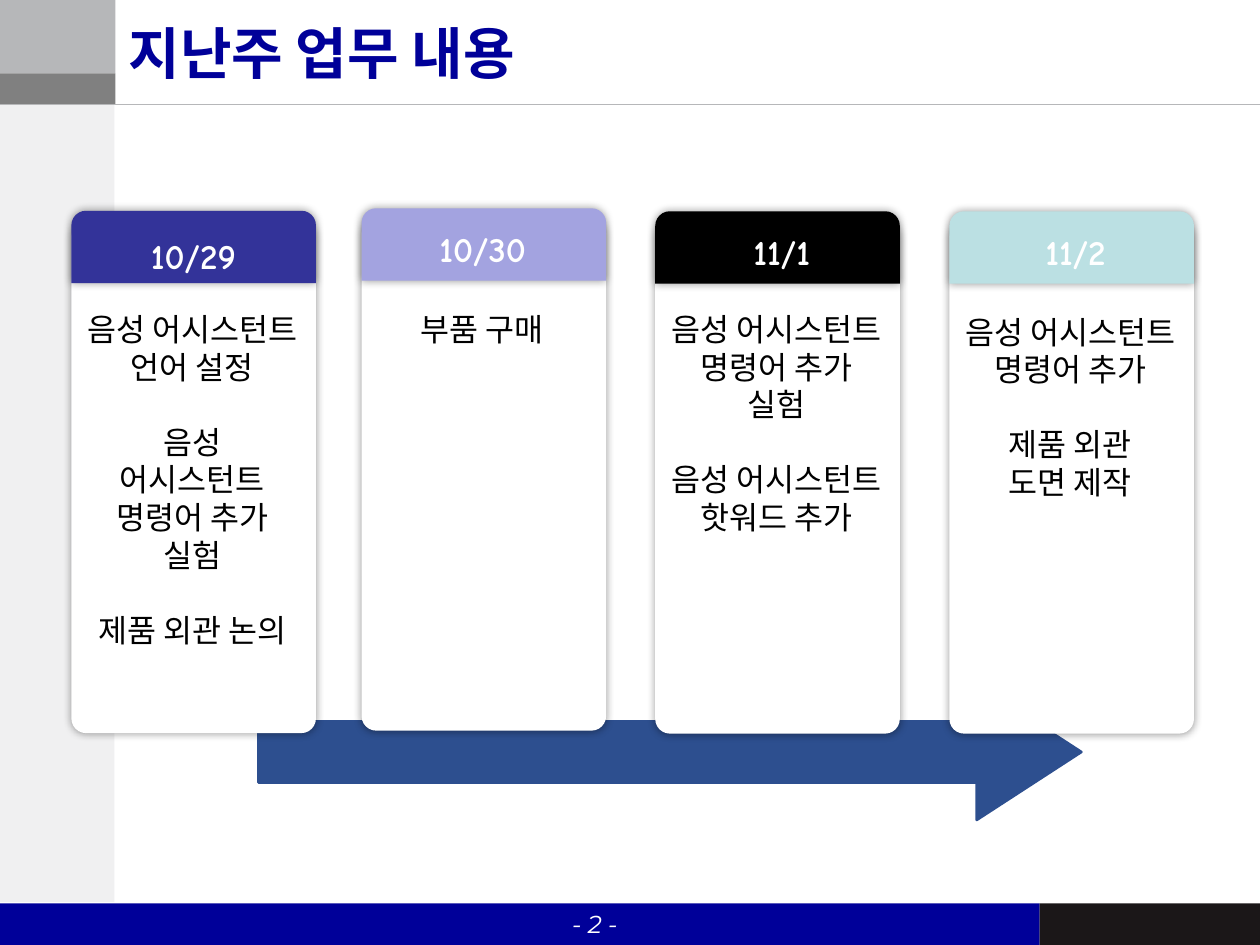
"""Build the weekly work review slide with four dated cards over an arrow."""
from dataclasses import dataclass

from lxml import etree
from pptx import Presentation
from pptx.dml.color import RGBColor
from pptx.enum.shapes import MSO_CONNECTOR, MSO_SHAPE
from pptx.enum.text import MSO_ANCHOR, MSO_AUTO_SIZE, PP_ALIGN
from pptx.oxml.ns import qn
from pptx.shapes.autoshape import Shape
from pptx.slide import Slide
from pptx.text.text import TextFrame
from pptx.util import Cm, Pt

RECTANGLE = MSO_SHAPE.RECTANGLE
ROUNDED = MSO_SHAPE.ROUNDED_RECTANGLE
ROUNDED_TOP = MSO_SHAPE.ROUND_2_SAME_RECTANGLE
RIGHT_ARROW = MSO_SHAPE.RIGHT_ARROW
STRAIGHT = MSO_CONNECTOR.STRAIGHT
LEFT, CENTER, RIGHT = PP_ALIGN.LEFT, PP_ALIGN.CENTER, PP_ALIGN.RIGHT
MIDDLE = MSO_ANCHOR.MIDDLE
NO_AUTOSIZE = MSO_AUTO_SIZE.NONE

WHITE = RGBColor(0xFF, 0xFF, 0xFF)
BLACK = RGBColor(0x00, 0x00, 0x00)
NAVY = RGBColor(0x00, 0x00, 0x99)
INDIGO = RGBColor(0x33, 0x33, 0x99)
LAVENDER = RGBColor(0xA3, 0xA3, 0xE0)
AQUA = RGBColor(0xBB, 0xE0, 0xE3)
ARROW_BLUE = RGBColor(0x2D, 0x4F, 0x8F)
PALE_GRAY = RGBColor(0xF0, 0xF0, 0xF1)
SILVER = RGBColor(0xB6, 0xB7, 0xB9)
GRAY = RGBColor(0x80, 0x80, 0x80)
CHARCOAL = RGBColor(0x1B, 0x17, 0x18)

KOREAN_FONT = "Noto Sans CJK KR"
TITLE_STYLE = {"name": "Comic Neue", "size": Pt(32), "bold": True}
DATE_STYLE = {"name": "Comic Neue", "size": Pt(20), "bold": True}
BODY_STYLE = {"name": KOREAN_FONT, "size": Pt(18)}
NUMBER_STYLE = {"name": "Montserrat", "size": Pt(14), "italic": True}

CARD_WIDTH, CARD_HEIGHT, HEADER_HEIGHT = 4.93, 10.31, 1.46
CARD_DROP = 0.22
LINE_PITCH = Pt(21.5)


@dataclass
class Panel:
    left: float
    top: float
    width: float
    height: float
    color: RGBColor


@dataclass
class Card:
    left: float
    top: float
    color: RGBColor
    date: str
    date_box: tuple[float, float, float]
    body_top: float
    body_height: float
    entries: list[list[str]]


PANELS = [
    Panel(0, 2.11, 2.31, 16.08, PALE_GRAY),
    Panel(0, 0, 2.33, 1.48, SILVER),
    Panel(0, 1.48, 2.33, 0.63, GRAY),
    Panel(0, 18.21, 20.96, 0.84, NAVY),
    Panel(20.96, 18.21, 4.44, 0.84, CHARCOAL),
]

CARDS = [
    Card(1.44, 4.25, INDIGO, "10/29", (2.59, 4.6, 2.62), 6.13, 12.57, [
        ["음성 어시스턴트 언어 설정"],
        ["음성", "어시스턴트", "명령어 추가", "실험"],
        ["제품 외관 논의"],
    ]),
    Card(7.29, 4.2, LAVENDER, "10/30", (8.41, 4.47, 2.64), 6.13, 4.88, [
        ["부품 구매"],
    ]),
    Card(13.21, 4.26, BLACK, "11/1", (14.58, 4.52, 2.36), 6.13, 7.19, [
        ["음성 어시스턴트 명령어 추가\v실험"],
        ["음성 어시스턴트 핫워드 추가"],
    ]),
    Card(19.14, 4.26, AQUA, "11/2", (20.5, 4.52, 2.36), 6.18, 4.88, [
        ["음성 어시스턴트 명령어 추가"],
        ["제품 외관", "도면 제작"],
    ]),
]


def add_panel(page: Slide, kind: MSO_SHAPE, panel: Panel) -> Shape:
    shape = page.shapes.add_shape(
        kind, Cm(panel.left), Cm(panel.top), Cm(panel.width), Cm(panel.height))
    shape.shadow.inherit = False
    shape.fill.solid()
    shape.fill.fore_color.rgb = panel.color
    shape.line.fill.background()
    return shape


def add_glow_shadow(shape: Shape) -> None:
    effects = shape._element.spPr.find(qn("a:effectLst"))
    shadow = etree.SubElement(effects, qn("a:outerShdw"), blurRad=str(Pt(5)), dist="0", dir="0")
    color = etree.SubElement(shadow, qn("a:srgbClr"), val=str(BLACK))
    etree.SubElement(color, qn("a:alpha"), val="40000")


def write(frame: TextFrame, entries: list[list[str]], style: dict, color: RGBColor,
          align: PP_ALIGN, pitch: Pt | None = None) -> None:
    frame.word_wrap = True
    lines = [(line, index == 0) for entry in entries for index, line in enumerate(entry)]
    for number, (line, starts_entry) in enumerate(lines):
        paragraph = frame.add_paragraph() if number else frame.paragraphs[0]
        paragraph.text = line
        paragraph.alignment = align
        if pitch:
            paragraph.line_spacing = pitch
        if number and starts_entry:
            paragraph.space_before = pitch
        for span in paragraph.runs:
            for name, value in style.items():
                setattr(span.font, name, value)
            span.font.color.rgb = color
            latin = span.font._element.find(qn("a:latin"))
            latin.addnext(latin.makeelement(qn("a:ea"), {"typeface": KOREAN_FONT}))


def add_text(page: Slide, left: float, top: float, width: float, height: float) -> TextFrame:
    box = page.shapes.add_textbox(Cm(left), Cm(top), Cm(width), Cm(height))
    return box.text_frame


def add_frame(page: Slide) -> None:
    for panel in PANELS:
        add_panel(page, RECTANGLE, panel)
    rule = page.shapes.add_connector(STRAIGHT, Cm(0), Cm(2.11), Cm(25.4), Cm(2.11))
    rule.line.color.rgb = SILVER
    rule.line.width = Pt(0.75)
    etree.SubElement(rule._element.spPr, qn("a:effectLst"))
    number = add_text(page, 10.59, 18.21, 2.11, 0.84)
    write(number, [["- 2 -"]], NUMBER_STYLE, WHITE, RIGHT)


def add_arrow(page: Slide) -> None:
    arrow = add_panel(page, RIGHT_ARROW, Panel(5.21, 13.79, 16.59, 2.74, ARROW_BLUE))
    arrow.adjustments[0] = 0.45
    arrow.adjustments[1] = 0.77
    arrow.line.color.rgb = ARROW_BLUE
    arrow.line.width = Pt(1.5)


def add_card(page: Slide, card: Card) -> None:
    base = Panel(card.left, card.top + CARD_DROP, CARD_WIDTH, CARD_HEIGHT, WHITE)
    header = Panel(card.left, card.top, CARD_WIDTH, HEADER_HEIGHT, card.color)
    for kind, panel, rounding in ((ROUNDED, base, 0.06), (ROUNDED_TOP, header, 0.2)):
        shape = add_panel(page, kind, panel)
        shape.adjustments[0] = rounding
        add_glow_shadow(shape)
    left, top, width = card.date_box
    write(add_text(page, left, top, width, 1.11), [[card.date]], DATE_STYLE, WHITE, CENTER)
    body = add_text(page, card.left - 0.03, card.body_top, CARD_WIDTH, card.body_height)
    write(body, card.entries, BODY_STYLE, BLACK, CENTER, LINE_PITCH)


def main() -> None:
    deck = Presentation()
    deck.slide_width, deck.slide_height = Cm(25.4), Cm(19.05)
    page = deck.slides.add_slide(deck.slide_layouts[5])
    title = page.shapes.title
    title.left, title.top, title.width, title.height = Cm(2.34), Cm(0.15), Cm(21.36), Cm(1.8)
    title.text_frame.vertical_anchor = MIDDLE
    title.text_frame.auto_size = NO_AUTOSIZE
    write(title.text_frame, [["지난주 업무 내용"]], TITLE_STYLE, NAVY, LEFT)
    add_frame(page)
    add_arrow(page)
    for card in CARDS:
        add_card(page, card)
    deck.save("out.pptx")


if __name__ == "__main__":
    main()
